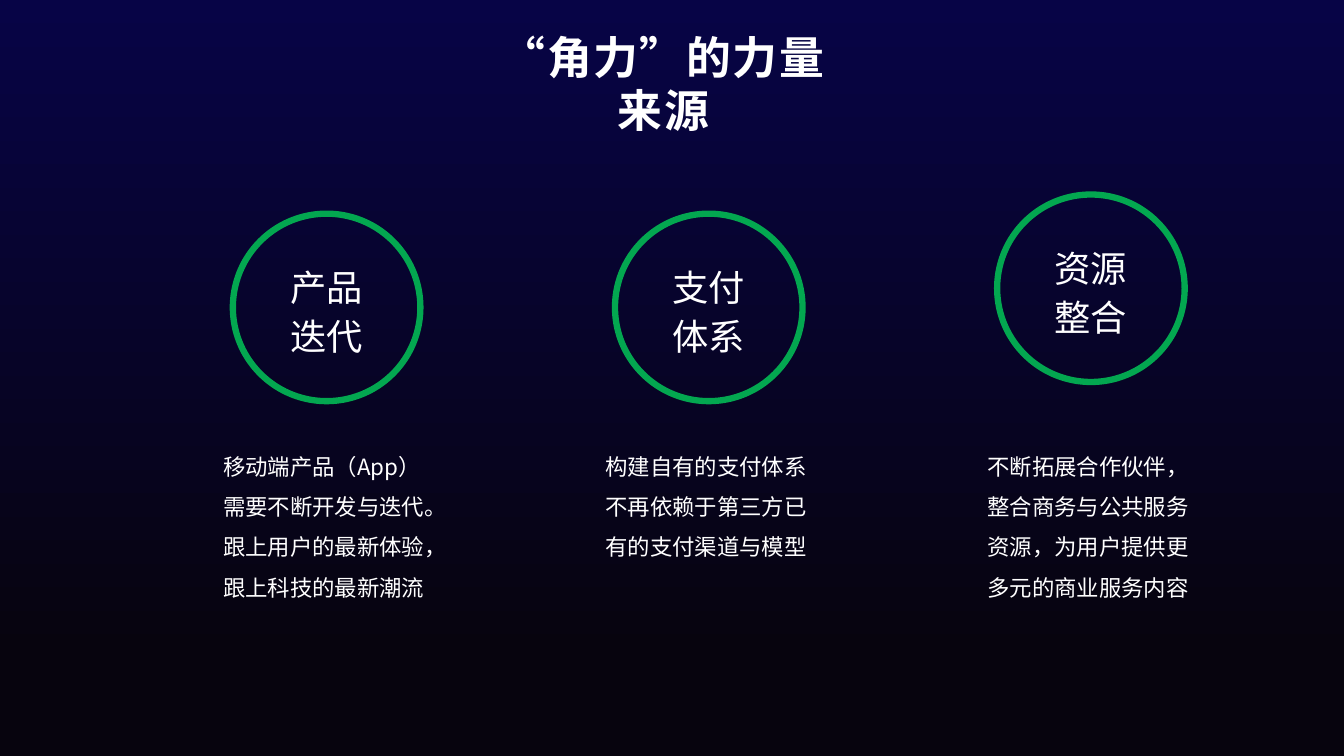
from dataclasses import dataclass

from lxml import etree
from pptx import Presentation
from pptx.dml.color import RGBColor
from pptx.enum.shapes import MSO_SHAPE
from pptx.enum.text import MSO_ANCHOR, MSO_AUTO_SIZE, PP_ALIGN
from pptx.oxml.ns import qn
from pptx.util import Inches, Pt

OVAL = MSO_SHAPE.OVAL
TOP, MIDDLE = MSO_ANCHOR.TOP, MSO_ANCHOR.MIDDLE
LEFT, CENTER = PP_ALIGN.LEFT, PP_ALIGN.CENTER

# Content: label lines, description, rise of the circle in inches
TITLE = "“角力”的力量来源"
FORCES = [
    (["产品", "迭代"],
     "移动端产品（App）需要不断开发与迭代。跟上用户的最新体验，跟上科技的最新潮流", 0),
    (["支付", "体系"],
     "构建自有的支付体系不再依赖于第三方已有的支付渠道与模型", 0),
    (["资源", "整合"],
     "不断拓展合作伙伴，整合商务与公共服务资源，为用户提供更多元的商业服务内容", 0.19),
]


@dataclass
class Theme:
    font: str = "Noto Sans CJK JP"
    text: str = "FFFFFF"
    ring: str = "03A750"
    sky: str = "070446"
    night: str = "07040E"
    title: float = 32
    label: float = 25.9
    body: float = 16


THEME = Theme()


def color(code):
    return RGBColor.from_string(code)


def write(shape, lines, size, pitch, align=LEFT, anchor=TOP,
          inset=(0, 0, 0, 0), gap=0, bold=False, track=0):
    """Fill a box with one paragraph per line."""
    frame = shape.text_frame
    frame.word_wrap = True
    frame.auto_size = MSO_AUTO_SIZE.NONE
    frame.vertical_anchor = anchor
    (frame.margin_left, frame.margin_top,
     frame.margin_right, frame.margin_bottom) = map(Inches, inset)
    for i, line in enumerate(lines):
        para = frame.add_paragraph() if i else frame.paragraphs[0]
        para.alignment = align
        para.line_spacing = Pt(pitch)
        para.space_before = Pt(gap if i else 0)
        run = para.add_run()
        run.text = line
        font = run.font
        font.size, font.bold, font.name = Pt(size), bold, THEME.font
        font.color.rgb = color(THEME.text)
        props = run._r.get_or_add_rPr()
        if track:
            props.set("spc", str(track))
        etree.SubElement(props, qn("a:ea")).set("typeface", THEME.font)


def place(x, y, w, h):
    return [Inches(v) for v in (x, y, w, h)]


deck = Presentation()
deck.slide_width, deck.slide_height = Inches(13.33), Inches(7.5)
slide = deck.slides.add_slide(deck.slide_layouts[5])

# Background gradient, top to bottom
fill = slide.background.fill
fill.gradient()
fill.gradient_angle = 270
for stop, code, pos in zip(fill.gradient_stops, (THEME.sky, THEME.night), (0, 0.87)):
    stop.color.rgb = color(code)
    stop.position = pos

# Title
title = slide.shapes.title
title.left, title.top, title.width, title.height = place(4.86, 0.19, 3.77, 0.64)
write(title, [TITLE], THEME.title, 38.4, CENTER, inset=(0, 0.1, 0.33, 0),
      bold=True, track=120)

# Columns: ring, label, description
FIRST, STEP = 3.24, 3.79
RING, LABEL, BODY = 1.86, 1.35, 2.05
for i, (label, body, rise) in enumerate(FORCES):
    mid = FIRST + i * STEP
    group = slide.shapes.add_group_shape().shapes

    ring = group.add_shape(OVAL, *place(mid - RING / 2, 2.12 - rise, RING, RING))
    ring.shadow.inherit = False
    ring.fill.background()
    ring.line.color.rgb = color(THEME.ring)
    ring.line.width = Pt(4.5)

    box = group.add_textbox(*place(mid - LABEL / 2, 2.69 - rise, LABEL, 0.88))
    write(box, label, THEME.label, 25, CENTER, MIDDLE, gap=10)

    box = group.add_textbox(*place(mid - BODY / 2, 4.36, BODY, 1.86))
    write(box, [body], THEME.body, 28.8)

deck.save("out.pptx")
